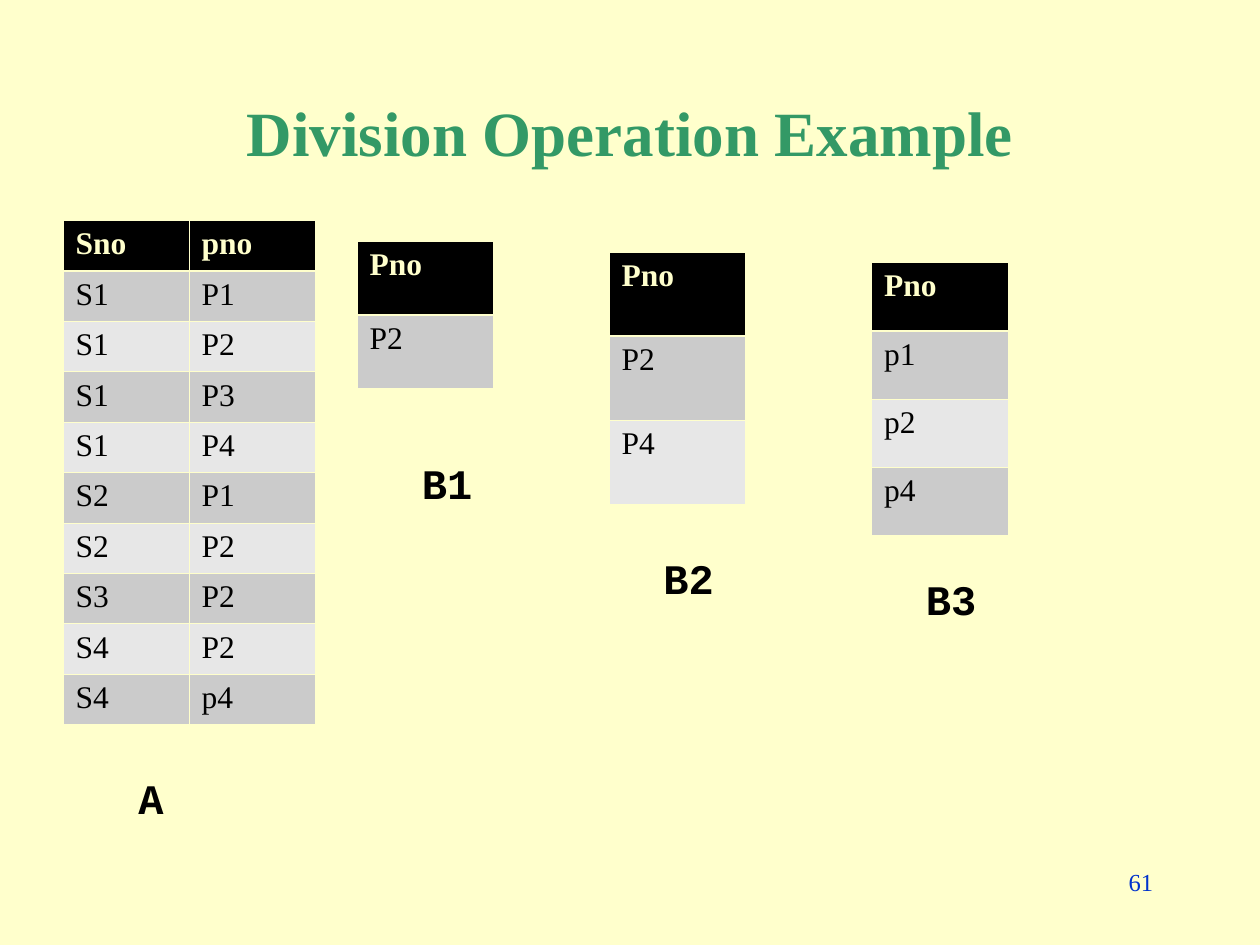
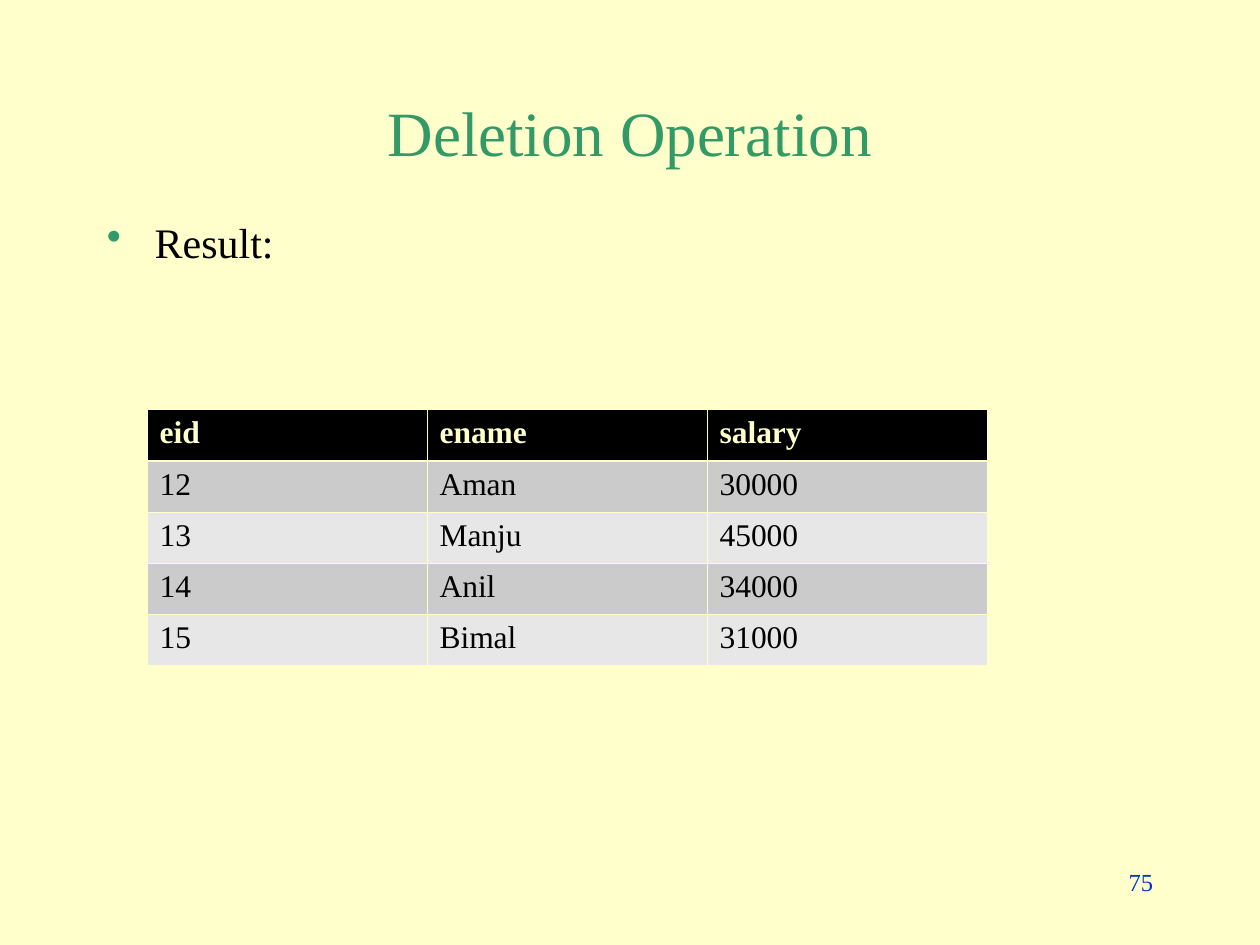
"""Build two slides on relational division and deletion."""
from pptx import Presentation, util as u
from pptx.dml.color import RGBColor
from pptx.enum import text
from pptx.oxml.ns import qn
from lxml import etree

COLORS = {"paper": "FFFFCC", "title": "339966", "ink": "000000",
          "odd": "CBCBCB", "even": "E7E7E7", "number": "0033CC"}
SERIF, MONO = "Times New Roman", "Courier New"
COLS, ROWS = 120, 90
TITLE_BOX, BODY_BOX, NUMBER_BOX = (9, 8, 102, 9), (9, 20, 102, 60), (86, 82, 25, 6)

SLIDES = [
    {"title": "Division Operation Example", "bold": True, "number": "61",
     "tables": [
         ((6, 21, 24, 48), [("Sno", "pno"), ("S1", "P1"), ("S1", "P2"), ("S1", "P3"),
                            ("S1", "P4"), ("S2", "P1"), ("S2", "P2"), ("S3", "P2"),
                            ("S4", "P2"), ("S4", "p4")]),
         ((34, 23, 13, 14), [("Pno",), ("P2",)]),
         ((58, 24, 13, 24), [("Pno",), ("P2",), ("P4",)]),
         ((83, 25, 13, 26), [("Pno",), ("p1",), ("p2",), ("p4",)])],
     "labels": [("A", (12, 73, 5, 6)), ("B1", (39, 43, 10, 6)),
                ("B2", (62, 52, 10, 6)), ("B3", (87, 54, 8, 6))]},
    {"title": "Deletion Operation", "bold": False, "number": "75",
     "bullets": ["Result:"],
     "tables": [
         ((14, 39, 80, 24.4), [("eid", "ename", "salary"), ("12", "Aman", "30000"),
                               ("13", "Manju", "45000"), ("14", "Anil", "34000"),
                               ("15", "Bimal", "31000")])]},
]

prs = Presentation()
prs.slide_width, prs.slide_height = u.Inches(10), u.Inches(7.5)


def rgb(name):
    return RGBColor.from_string(COLORS[name])


def place(box):
    x, y, w, h = box
    dx, dy = prs.slide_width / COLS, prs.slide_height / ROWS
    return [round(v) for v in (x * dx, y * dy, w * dx, h * dy)]


def add_run(p, words, size, color="ink", bold=False, font=SERIF):
    r = p.add_run()
    r.text = words
    r.font.name, r.font.size, r.font.bold = font, u.Pt(size), bold
    r.font.color.rgb = rgb(color)


def add_box(s, box):
    tf = s.shapes.add_textbox(*place(box)).text_frame
    tf.word_wrap = True
    return tf


def add_title(s, words, bold):
    sp = s.shapes.title
    sp.left, sp.top, sp.width, sp.height = place(TITLE_BOX)
    tf = sp.text_frame
    tf.vertical_anchor = text.MSO_ANCHOR.MIDDLE
    tf.auto_size = text.MSO_AUTO_SIZE.NONE
    p = tf.paragraphs[0]
    p.alignment = text.PP_ALIGN.CENTER
    add_run(p, words, 36, "title", bold)


def add_bullets(s, items):
    tf = add_box(s, BODY_BOX)
    for i, words in enumerate(items):
        p = tf.add_paragraph() if i else tf.paragraphs[0]
        p.space_before = u.Pt(18 if i else 0)
        pPr = p._p.get_or_add_pPr()
        pPr.set("marL", str(u.Inches(0.38)))
        pPr.set("indent", str(-u.Inches(0.38)))
        color = etree.SubElement(pPr, qn("a:buClr"))
        etree.SubElement(color, qn("a:srgbClr"), val=COLORS["title"])
        etree.SubElement(pPr, qn("a:buChar"), char="•")
        add_run(p, words, 24)


def add_borders(cell, row):
    tcPr = cell._tc.get_or_add_tcPr()
    thick = {0: "lnB", 1: "lnT"}.get(row)
    for side in ("lnL", "lnR", "lnT", "lnB"):
        width = u.Pt(1.47 if side == thick else 0.45)
        ln = etree.SubElement(tcPr, qn("a:" + side), w=str(width))
        fill = etree.SubElement(ln, qn("a:solidFill"))
        etree.SubElement(fill, qn("a:srgbClr"), val=COLORS["paper"])


def add_table(s, box, data):
    table = s.shapes.add_table(len(data), len(data[0]), *place(box)).table
    for i, values in enumerate(data):
        back = "ink" if i == 0 else "odd" if i % 2 else "even"
        for j, value in enumerate(values):
            cell = table.cell(i, j)
            add_borders(cell, i)
            cell.fill.solid()
            cell.fill.fore_color.rgb = rgb(back)
            add_run(cell.text_frame.paragraphs[0], value, 18,
                    "ink" if i else "paper", i == 0)


def build_slide(content):
    s = prs.slides.add_slide(prs.slide_layouts[5])
    s.background.fill.solid()
    s.background.fill.fore_color.rgb = rgb("paper")
    add_title(s, content["title"], content["bold"])
    if "bullets" in content:
        add_bullets(s, content["bullets"])
    for box, data in content["tables"]:
        add_table(s, box, data)
    for words, box in content.get("labels", []):
        add_run(add_box(s, box).paragraphs[0], words, 24, bold=True, font=MONO)
    p = add_box(s, NUMBER_BOX).paragraphs[0]
    p.alignment = text.PP_ALIGN.RIGHT
    add_run(p, content["number"], 14, "number")


def main():
    for content in SLIDES:
        build_slide(content)
    prs.save("out.pptx")


if __name__ == "__main__":
    main()
